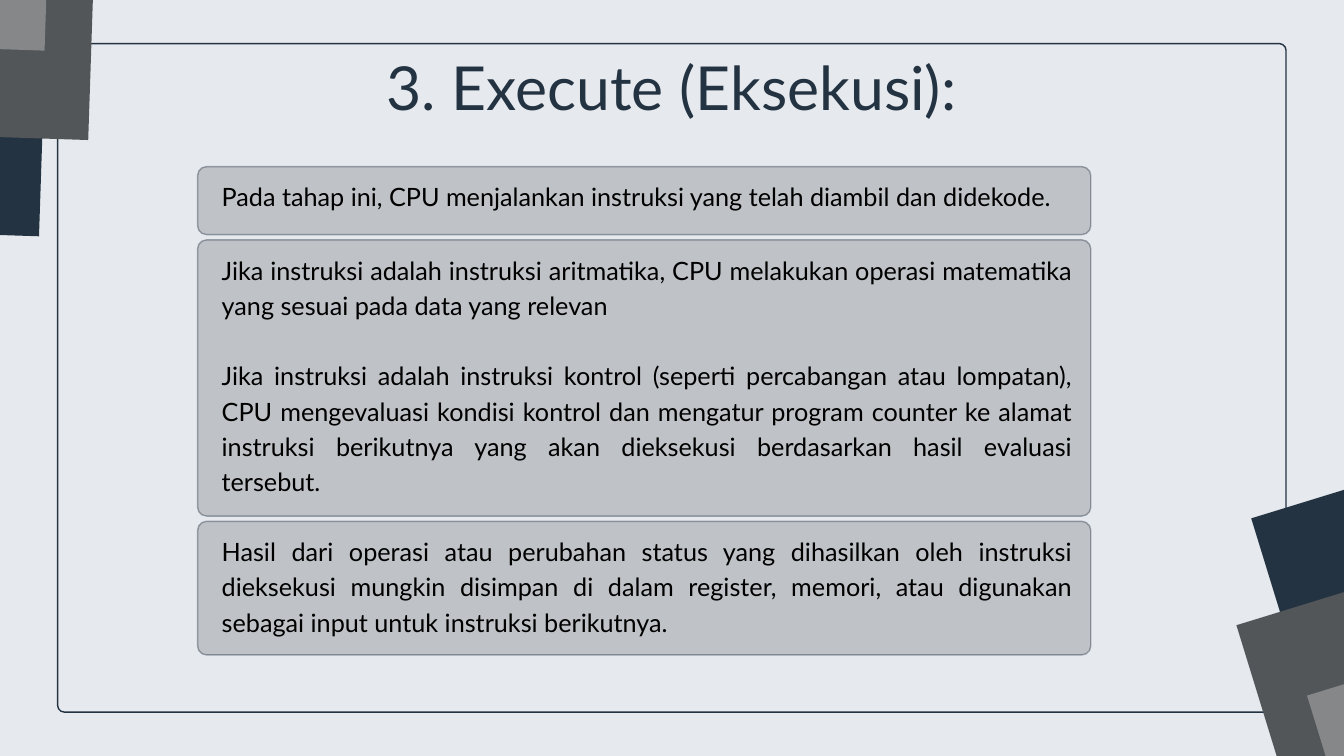
import pptx
import pptx.util
import pptx.dml.color
import pptx.enum.shapes
import pptx.enum.text
import pptx.oxml.ns
import lxml.etree
from pptx.util import Cm, Pt

TITLE = "3. Execute (Eksekusi):"

# Each card: height in cm and its paragraphs
CARDS = [
    (2.57, ["Pada tahap ini, CPU menjalankan instruksi yang telah diambil dan didekode."]),
    (10.44, [
        "Jika instruksi adalah instruksi aritmatika, CPU melakukan operasi matematika "
        "yang sesuai pada data yang relevan",
        "Jika instruksi adalah instruksi kontrol (seperti percabangan atau lompatan), "
        "CPU mengevaluasi kondisi kontrol dan mengatur program counter ke alamat "
        "instruksi berikutnya yang akan dieksekusi berdasarkan hasil evaluasi tersebut.",
    ]),
    (5.05, [
        "Hasil dari operasi atau perubahan status yang dihasilkan oleh instruksi "
        "dieksekusi mungkin disimpan di dalam register, memori, atau digunakan "
        "sebagai input untuk instruksi berikutnya.",
    ]),
]

THEME = {
    "font": "Lato",
    "paper": "E6EAEF", "navy": "243342", "slate": "535659", "grey": "858789", "ink": "000000",
    "title_size": 65, "title_leading": 59.8,
    "body_size": 27, "body_leading": 37.8,
    "line": 1.5, "card_opacity": 40,
}

# Corner decorations: rotation, then the centre of each tile in cm, back to front
TILE_WIDTH, TILE_HEIGHT = 15.42, 15.49
TILE_COLOURS = ["navy", "slate", "grey"]
CORNERS = [
    (271.9, [(-6.01, 0.97), (-4.15, -2.67), (-5.8, -6.05)]),
    (72.9, [(56.96, 24.69), (56.4, 28.73), (59.07, 31.39)]),
]

FRAME = (2.18, 1.65, 46.43, 25.27)
FRAME_RADIUS = 0.25
TITLE_BOX = (11.28, 2.51, 28.22, 3.07)
CARD_LEFT, CARD_TOP, CARD_WIDTH, CARD_GAP, CARD_RADIUS = 7.47, 6.3, 33.76, 0.2, 0.34
TEXT_INDENT, TEXT_DROP, TEXT_WIDTH = 0.91, 0.38, 32.13

SHAPES = pptx.enum.shapes.MSO_SHAPE
ALIGN = pptx.enum.text.PP_ALIGN


def colour(name):
    return pptx.dml.color.RGBColor.from_string(THEME[name])


def paint(fill, name, opacity=100):
    """Make a fill solid; opacity is a percentage."""
    fill.solid()
    fill.fore_color.rgb = colour(name)
    if opacity < 100:
        for rgb in fill._xPr.iter(pptx.oxml.ns.qn("a:srgbClr")):
            alpha = lxml.etree.SubElement(rgb, pptx.oxml.ns.qn("a:alpha"))
            alpha.set("val", str(opacity * 1000))


def add_block(shapes, kind, box, fill, opacity=100):
    block = shapes.add_shape(kind, *map(Cm, box))
    block.shadow.inherit = False
    paint(block.fill, fill, opacity)
    block.line.fill.background()
    return block


def add_panel(shapes, box, radius, fill, opacity=100):
    """Add an outlined rectangle with corners of a fixed radius in cm."""
    panel = add_block(shapes, SHAPES.ROUNDED_RECTANGLE, box, fill, opacity)
    panel.adjustments[0] = radius / min(box[2:])
    panel.line.width = Pt(THEME["line"])
    paint(panel.line.fill, "navy", opacity)


def add_text(shapes, box, paragraphs, style, ink, align):
    frame = shapes.add_textbox(*map(Cm, box)).text_frame
    frame.word_wrap = True
    frame.margin_left = frame.margin_right = frame.margin_top = frame.margin_bottom = 0
    leading = Pt(THEME[style + "_leading"])
    for index, words in enumerate(paragraphs):
        paragraph = frame.add_paragraph() if index else frame.paragraphs[0]
        paragraph.alignment = align
        paragraph.line_spacing = leading
        if index:
            paragraph.space_before = leading
        run = paragraph.add_run()
        run.text = words
        run.font.name = THEME["font"]
        run.font.size = Pt(THEME[style + "_size"])
        run.font.color.rgb = colour(ink)


def add_corner(shapes, rotation, centres):
    corner = shapes.add_group_shape()
    for (x, y), name in zip(centres, TILE_COLOURS):
        box = (x - TILE_WIDTH / 2, y - TILE_HEIGHT / 2, TILE_WIDTH, TILE_HEIGHT)
        add_block(corner.shapes, SHAPES.RECTANGLE, box, name).rotation = rotation


def add_cards(shapes):
    top = CARD_TOP
    for height, paragraphs in CARDS:
        card = shapes.add_group_shape()
        add_panel(card.shapes, (CARD_LEFT, top, CARD_WIDTH, height), CARD_RADIUS,
                  "grey", THEME["card_opacity"])
        text_box = (CARD_LEFT + TEXT_INDENT, top + TEXT_DROP,
                    TEXT_WIDTH, height - 2.5 * TEXT_DROP)
        add_text(card.shapes, text_box, paragraphs, "body", "ink", ALIGN.JUSTIFY)
        top += height + CARD_GAP


def main():
    deck = pptx.Presentation()
    deck.slide_width, deck.slide_height = Cm(50.8), Cm(28.58)
    slide = deck.slides.add_slide(deck.slide_layouts[6])
    paint(slide.background.fill, "paper")
    add_panel(slide.shapes, FRAME, FRAME_RADIUS, "paper")
    for rotation, centres in CORNERS:
        add_corner(slide.shapes, rotation, centres)
    add_text(slide.shapes, TITLE_BOX, [TITLE], "title", "navy", ALIGN.CENTER)
    add_cards(slide.shapes)
    deck.save("out.pptx")


if __name__ == "__main__":
    main()
